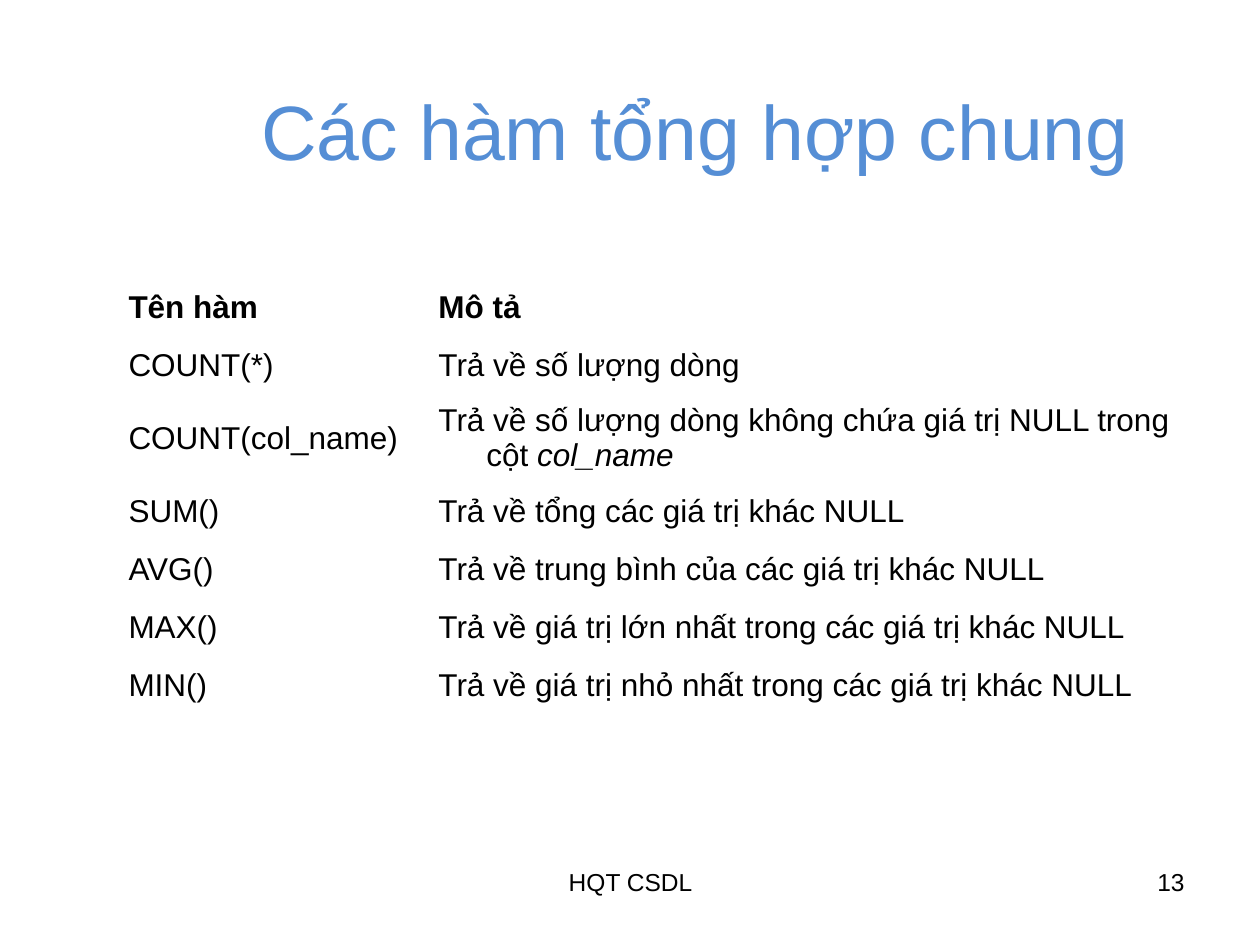
from pptx import Presentation
from pptx.dml.color import RGBColor
from pptx.enum.text import MSO_ANCHOR, PP_ALIGN
from pptx.util import Inches, Pt

FONT = "Arial"
COLORS = {"title": "558ED5", "text": "000000"}
COLUMN_WIDTHS = (2.46, 6.04)
ROW_HEIGHT, TALL_ROW_HEIGHT = 0.46, 0.7
HANGING_INDENT = 0.38

# Each description is a plain part and an optional part in italics.
FUNCTIONS = [
    ("Tên hàm", "Mô tả", ""),
    ("COUNT(*)", "Trả về số lượng dòng", ""),
    ("COUNT(col_name)", "Trả về số lượng dòng không chứa giá trị NULL trong cột ", "col_name"),
    ("SUM()", "Trả về tổng các giá trị khác NULL", ""),
    ("AVG()", "Trả về trung bình của các giá trị khác NULL", ""),
    ("MAX()", "Trả về giá trị lớn nhất trong các giá trị khác NULL", ""),
    ("MIN()", "Trả về giá trị nhỏ nhất trong các giá trị khác NULL", ""),
]


def format_runs(p, size, color="text", bold=False):
    for r in p.runs:
        r.font.name = FONT
        r.font.size = Pt(size)
        r.font.bold = bold
        r.font.color.rgb = RGBColor.from_string(COLORS[color])


def set_title(s, text):
    title = s.shapes.title
    title.left, title.top = Inches(1.26), Inches(0.23)
    title.width, title.height = Inches(8.52), Inches(1.6)
    tf = title.text_frame
    tf.text = text
    tf.vertical_anchor = MSO_ANCHOR.MIDDLE
    p = tf.paragraphs[0]
    p.alignment = PP_ALIGN.CENTER
    format_runs(p, 44, "title")


def fill_cell(cell, text, italic_text="", bold=False):
    cell.fill.background()
    cell.vertical_anchor = MSO_ANCHOR.MIDDLE
    p = cell.text_frame.paragraphs[0]
    p.text = text
    if italic_text:
        r = p.add_run()
        r.text = italic_text
        r.font.italic = True
    format_runs(p, 18, bold=bold)
    pPr = p._p.get_or_add_pPr()
    pPr.set("marL", str(Inches(HANGING_INDENT)))
    pPr.set("indent", str(-Inches(HANGING_INDENT)))


def add_function_table(s):
    heights = [TALL_ROW_HEIGHT if italic else ROW_HEIGHT for _, _, italic in FUNCTIONS]
    table = s.shapes.add_table(
        len(FUNCTIONS), len(COLUMN_WIDTHS), Inches(0.92), Inches(2.21),
        Inches(sum(COLUMN_WIDTHS)), Inches(sum(heights))).table
    table.first_row = table.horz_banding = False
    for column, width in zip(table.columns, COLUMN_WIDTHS):
        column.width = Inches(width)
    for i, (name, description, italic) in enumerate(FUNCTIONS):
        table.rows[i].height = Inches(heights[i])
        is_header = i == 0
        fill_cell(table.cell(i, 0), name, bold=is_header)
        fill_cell(table.cell(i, 1), description, italic, bold=is_header)


def add_footer_text(s, text, left, width, alignment):
    tf = s.shapes.add_textbox(Inches(left), Inches(6.83), Inches(width), Inches(0.52)).text_frame
    tf.word_wrap = True
    tf.text = text
    p = tf.paragraphs[0]
    p.alignment = alignment
    format_runs(p, 14)


def main():
    prs = Presentation()
    prs.slide_width, prs.slide_height = Inches(10), Inches(7.5)
    s = prs.slides.add_slide(prs.slide_layouts[5])
    set_title(s, "Các hàm tổng hợp chung")
    add_function_table(s)
    add_footer_text(s, "HQT CSDL", 3.42, 3.17, PP_ALIGN.CENTER)
    add_footer_text(s, "13", 7.17, 2.33, PP_ALIGN.RIGHT)
    prs.save("out.pptx")


if __name__ == "__main__":
    main()
